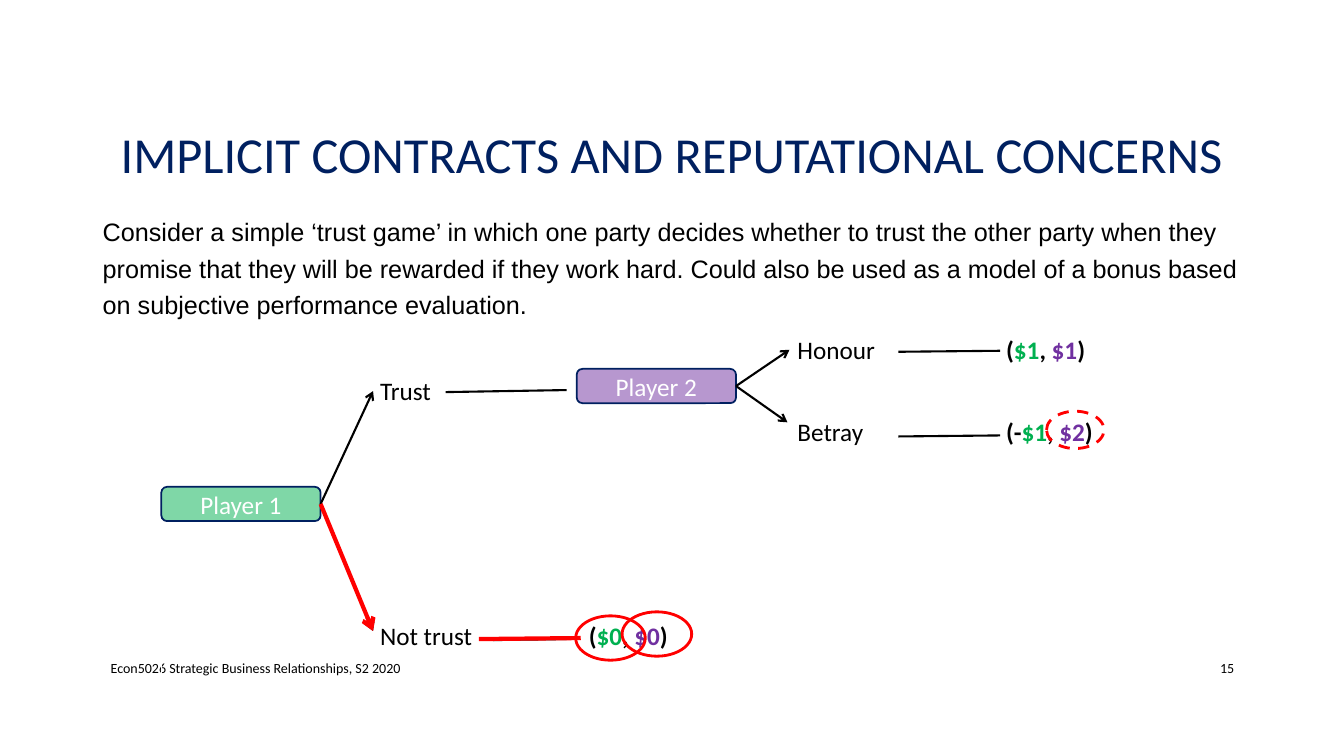
from dataclasses import dataclass
from typing import Optional

from lxml import etree
from pptx import Presentation
from pptx.dml.color import RGBColor
from pptx.enum.dml import MSO_LINE
from pptx.enum.shapes import MSO_CONNECTOR, MSO_SHAPE
from pptx.enum.text import MSO_ANCHOR, PP_ALIGN
from pptx.oxml.ns import qn
from pptx.util import Inches, Pt

STRAIGHT = MSO_CONNECTOR.STRAIGHT
ROUNDED, OVAL = MSO_SHAPE.ROUNDED_RECTANGLE, MSO_SHAPE.OVAL
DASH = MSO_LINE.DASH
TOP, MIDDLE = MSO_ANCHOR.TOP, MSO_ANCHOR.MIDDLE
LEFT, CENTER, RIGHT = PP_ALIGN.LEFT, PP_ALIGN.CENTER, PP_ALIGN.RIGHT
RIGHT_SIDE = 3

BLACK = RGBColor(0x00, 0x00, 0x00)
WHITE = RGBColor(0xFF, 0xFF, 0xFF)
NAVY = RGBColor(0x00, 0x20, 0x60)
GREEN = RGBColor(0x00, 0xB0, 0x50)
PURPLE = RGBColor(0x70, 0x30, 0xA0)
RED = RGBColor(0xFF, 0x00, 0x00)


@dataclass
class Caption:
    text: str
    box: tuple[float, float, float, float]
    size: float
    font: str = "Calibri"
    color: RGBColor = BLACK
    align: PP_ALIGN = LEFT
    anchor: MSO_ANCHOR = MIDDLE
    spacing: float = 1.0


@dataclass
class Player:
    name: str
    left: float
    top: float
    color: RGBColor


@dataclass
class Branch:
    start: tuple[float, float]
    end: tuple[float, float]
    mover: Optional[str] = None  # a branch leaving a player is an arrow
    color: RGBColor = BLACK
    width: float = 1.5


@dataclass
class Ring:
    box: tuple[float, float, float, float]
    dashed: bool = False


CAPTIONS = [
    Caption("Consider a simple ‘trust game’ in which one party decides whether to trust "
            "the other party when they promise that they will be rewarded if they work hard. "
            "Could also be used as a model of a bonus based on subjective performance "
            "evaluation.", (0.92, 2.04, 11.5, 4.72), 18, "Arial", anchor=TOP, spacing=1.2),
    Caption("Econ5026 Strategic Business Relationships, S2 2020", (1, 6.43, 7.3, 0.4), 10),
    Caption("15", (11.5, 6.43, 0.84, 0.4), 10, align=RIGHT),
    Caption("IMPLICIT CONTRACTS AND REPUTATIONAL CONCERNS", (1, 0.68, 11.33, 1.75), 36,
            color=NAVY, align=CENTER, spacing=0.9),
]
ROWS, COLUMNS = 9, 5
ACTIONS = {(0, 3): "Honour", (1, 1): "Trust", (2, 3): "Betray", (7, 1): "Not trust"}
PAYOFFS = {  # opening, first player's and second player's amounts
    (0, 4): ("(", "$1", "$1"),
    (2, 4): ("(-", "$1", "$2"),
    (7, 2): ("(", "$0", "$0"),
}
PLAYERS = [Player("Player 2", 5.72, 3.66, PURPLE), Player("Player 1", 1.6, 4.83, GREEN)]
BRANCHES = [
    Branch((3.18, 5), (3.7, 3.88), "Player 1"),
    Branch((3.18, 5), (3.7, 6.26), "Player 1"),
    Branch((7.3, 3.83), (7.83, 3.47), "Player 2"),
    Branch((7.3, 3.83), (7.81, 4.19), "Player 2"),
    Branch((4.89, 6.35), (5.62, 6.34)),
    Branch((4.42, 3.89), (5.62, 3.87)),
    Branch((8.91, 3.49), (9.92, 3.48)),
    Branch((8.91, 4.33), (9.92, 4.32)),
    Branch((4.75, 6.34), (5.76, 6.33), color=RED, width=3),
    Branch((3.18, 5), (3.7, 6.26), "Player 1", RED, 3),
]
RINGS = [
    Ring((10.38, 4.08, 0.57, 0.37), dashed=True),
    Ring((6.17, 6.07, 0.69, 0.44)),
    Ring((5.71, 6.11, 0.69, 0.44)),
]


def add_run(paragraph, text: str, size: float, color: RGBColor,
            font: str = "Calibri", bold: bool = False) -> None:
    run = paragraph.add_run()
    run.text = text
    run.font.name, run.font.size, run.font.bold = font, Pt(size), bold
    run.font.color.rgb = color


def add_caption(slide, caption: Caption) -> None:
    frame = slide.shapes.add_textbox(*map(Inches, caption.box)).text_frame
    frame.word_wrap = True
    frame.vertical_anchor = caption.anchor
    paragraph = frame.paragraphs[0]
    paragraph.alignment = caption.align
    paragraph.line_spacing = caption.spacing
    add_run(paragraph, caption.text, caption.size, caption.color, caption.font)


def add_white_borders(cell) -> None:
    properties = cell._tc.get_or_add_tcPr()
    for position, side in enumerate(("a:lnL", "a:lnR", "a:lnT", "a:lnB")):
        border = etree.Element(qn(side), w=str(Pt(1)))
        fill = etree.SubElement(border, qn("a:solidFill"))
        etree.SubElement(fill, qn("a:srgbClr"), val=str(WHITE))
        properties.insert(position, border)


def add_outcome_table(slide) -> None:
    table = slide.shapes.add_table(ROWS, COLUMNS, Inches(1.6), Inches(3.28),
                                   Inches(10.35), Inches(3.65)).table
    table.first_row = table.horz_banding = False
    for cell in table.iter_cells():
        cell.fill.background()
        add_white_borders(cell)
    for place, action in ACTIONS.items():
        add_run(table.cell(*place).text_frame.paragraphs[0], action, 18, BLACK)
    for place, (opening, first, second) in PAYOFFS.items():
        paragraph = table.cell(*place).text_frame.paragraphs[0]
        for text, color in ((opening, BLACK), (first, GREEN), (", ", BLACK),
                            (second, PURPLE), (")", BLACK)):
            add_run(paragraph, text, 18, color, bold=True)


def add_player(slide, player: Player):
    node = slide.shapes.add_shape(ROUNDED, Inches(player.left), Inches(player.top),
                                  Inches(1.58), Inches(0.34))
    node.shadow.inherit = False
    node.fill.solid()
    node.fill.fore_color.rgb = player.color
    tint = node._element.spPr.find(qn("a:solidFill")).find(qn("a:srgbClr"))
    etree.SubElement(tint, qn("a:alpha"), val="50000")
    node.line.color.rgb, node.line.width = NAVY, Pt(1.25)
    node.text_frame.vertical_anchor = MIDDLE
    paragraph = node.text_frame.paragraphs[0]
    paragraph.alignment = CENTER
    add_run(paragraph, player.name, 18, WHITE)
    return node


def add_branch(slide, branch: Branch, nodes: dict) -> None:
    line = slide.shapes.add_connector(STRAIGHT, *map(Inches, branch.start + branch.end))
    line.line.color.rgb, line.line.width = branch.color, Pt(branch.width)
    if branch.mover:
        line.begin_connect(nodes[branch.mover], RIGHT_SIDE)
        etree.SubElement(line.line._get_or_add_ln(), qn("a:tailEnd"), type="arrow")
    etree.SubElement(line._element.spPr, qn("a:effectLst"))


def add_ring(slide, ring: Ring) -> None:
    oval = slide.shapes.add_shape(OVAL, *map(Inches, ring.box))
    oval.shadow.inherit = False
    oval.fill.background()
    oval.line.color.rgb, oval.line.width = RED, Pt(2)
    if ring.dashed:
        oval.line.dash_style = DASH


def main() -> None:
    deck = Presentation()
    deck.slide_width, deck.slide_height = Inches(13.33), Inches(7.5)
    slide = deck.slides.add_slide(deck.slide_layouts[6])

    # Title, introduction and footer
    for caption in CAPTIONS:
        add_caption(slide, caption)

    # Game tree
    add_outcome_table(slide)
    nodes = {player.name: add_player(slide, player) for player in PLAYERS}
    for branch in BRANCHES:
        add_branch(slide, branch, nodes)

    # Highlighted payoffs
    for ring in RINGS:
        add_ring(slide, ring)

    deck.save("out.pptx")


if __name__ == "__main__":
    main()
